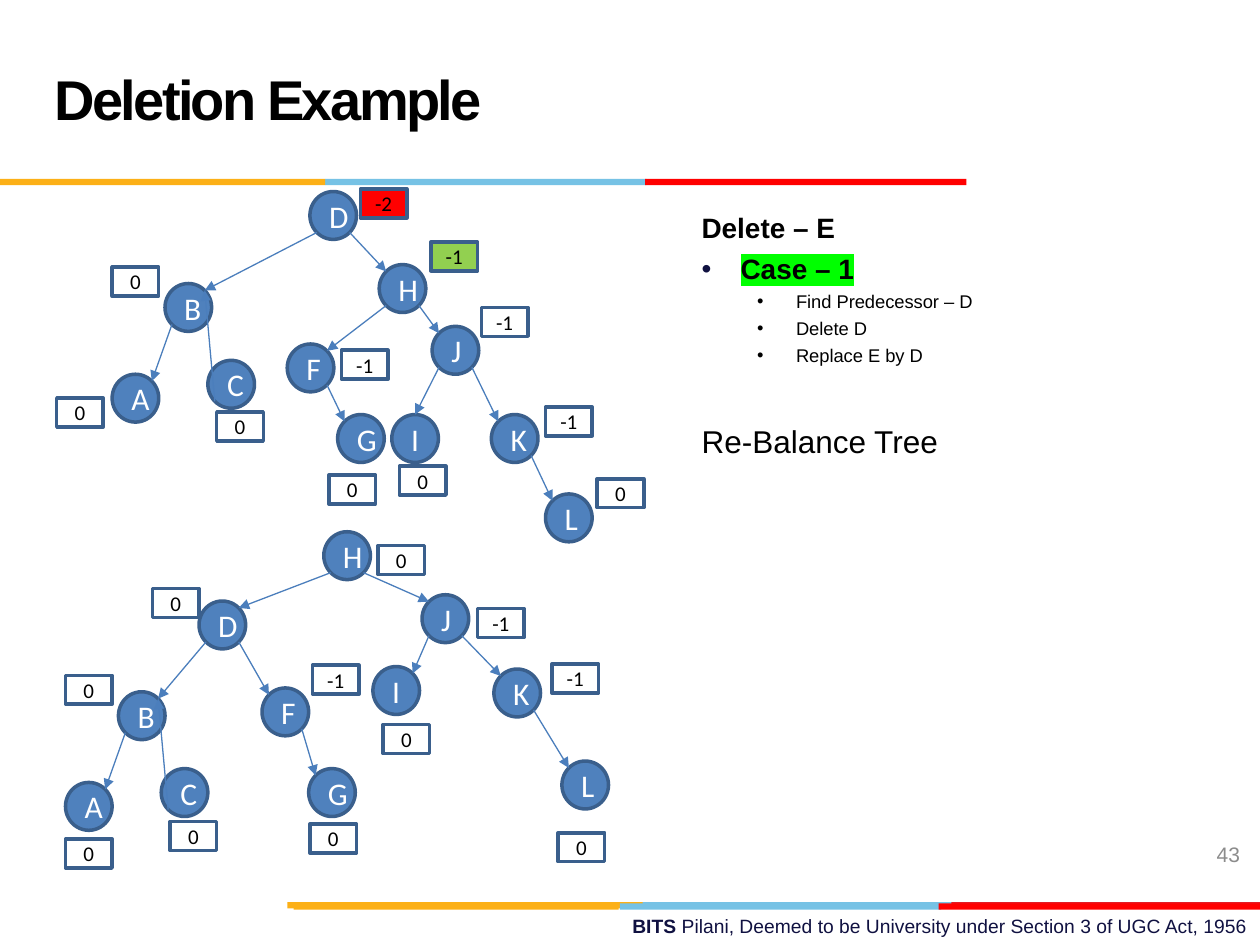
from lxml import etree
from pptx import Presentation
from pptx.dml.color import RGBColor
from pptx.enum import shapes, text
from pptx.oxml import ns
from pptx.util import Inches, Pt

BLACK = RGBColor(0x00, 0x00, 0x00)
WHITE = RGBColor(0xFF, 0xFF, 0xFF)
NAVY = RGBColor(0x10, 0x11, 0x41)
GRAY = RGBColor(0x8C, 0x8C, 0x8C)
RED = RGBColor(0xFF, 0x00, 0x00)
CRIMSON = RGBColor(0xE3, 0x1C, 0x24)
GOLD = RGBColor(0xFC, 0xB0, 0x17)
SKY = RGBColor(0x76, 0xC2, 0xE5)
GREEN = RGBColor(0x92, 0xD0, 0x50)
LIME = RGBColor(0x00, 0xFF, 0x00)
NODE_BLUE = RGBColor(0x4F, 0x81, 0xBD)
OUTLINE = RGBColor(0x3A, 0x5F, 0x8C)
EDGE_BLUE = RGBColor(0x4B, 0x7E, 0xBC)

# left, top, width, colour
STRIPES = [
    (5.06, 7.16, 2.55, SKY), (7.55, 7.16, 2.45, CRIMSON), (2.28, 7.16, 2.82, GOLD),
    (4.92, 7.17, 2.55, SKY), (2.33, 7.17, 2.58, GOLD), (7.45, 7.17, 2.55, RED),
    (2.58, 1.42, 2.55, SKY), (0, 1.42, 2.58, GOLD), (5.12, 1.42, 2.55, RED),
]
STRIPE_H = 0.05

# Each tree: nodes as letter -> (left, top), balance labels as (left, top, value),
# edges as "from-to" letter pairs; "^" marks an edge that ends at the top centre.
BEFORE = {
    "nodes": {"C": (1.65, 2.86), "D": (2.46, 1.52), "H": (3.01, 2.1), "B": (1.31, 2.25),
              "F": (2.28, 2.73), "J": (3.43, 2.59), "G": (2.68, 3.29), "A": (0.89, 2.97),
              "K": (3.9, 3.29), "I": (3.11, 3.29), "L": (4.33, 3.92)},
    "balances": [(2.86, 1.5, -2), (3.42, 1.92, -1), (0.89, 2.12, 0), (3.82, 2.44, -1),
                 (2.71, 2.78, -1), (4.33, 3.23, -1), (2.61, 3.77, 0), (1.72, 3.27, 0),
                 (0.45, 3.16, 0), (3.17, 3.7, 0), (4.74, 3.8, 0)],
    "edges": "DB DH CB HF HJ FG BA JK JI^ KL",
    "fills": {0: RED, 1: GREEN},
}
AFTER = {
    "nodes": {"C": (1.28, 6.1), "D": (1.58, 4.77), "H": (2.57, 4.22), "B": (0.94, 5.49),
              "F": (2.08, 5.46), "J": (3.35, 4.72), "G": (2.45, 6.1), "A": (0.52, 6.21),
              "K": (3.92, 5.31), "I": (2.96, 5.29), "L": (4.46, 6.04)},
    "balances": [(3, 4.33, 0), (1.21, 4.67, 0), (3.79, 4.83, -1), (0.52, 5.36, 0),
                 (2.48, 5.28, -1), (4.38, 5.27, -1), (2.46, 6.54, 0), (1.35, 6.52, 0),
                 (0.52, 6.66, 0), (3.04, 5.75, 0), (4.43, 6.61, 0)],
    "edges": "DB HD CB DF HJ FG BA JK JI KL",
    "fills": {},
}
NODE_W, NODE_H = 0.37, 0.38
LABEL_H = 0.23
CORNER = 0.055  # inset of the circle's diagonal points from its frame

# text, size, bold, space before, left margin, bullet colour, highlight
STEPS = [
    ("Delete – E", 16, True, 0, 0, None, None),
    ("Case – 1", 16, True, 4.5, 0.31, NAVY, LIME),
    ("Find Predecessor – D", 10.5, False, 2.8, 0.75, BLACK, None),
    ("Delete D", 10.5, False, 2.8, 0.75, BLACK, None),
    ("Replace E by D", 10.5, False, 2.8, 0.75, BLACK, None),
    ("Re-Balance Tree", 18, False, 32, 0, None, None),
]
HANGING = 0.31


def sub(parent, tag, **attributes):
    return etree.SubElement(parent, ns.qn(tag), attributes)


def add_span(para, words, size, color, bold=False, font="Arial"):
    span = para.add_run()
    span.text = words
    span.font.name, span.font.size, span.font.bold = font, Pt(size), bold
    span.font.color.rgb = color
    return span


def add_box(page, left, top, width, height, anchor=text.MSO_ANCHOR.TOP):
    box = page.shapes.add_textbox(Inches(left), Inches(top), Inches(width), Inches(height))
    box.text_frame.word_wrap = True
    box.text_frame.vertical_anchor = anchor
    return box.text_frame.paragraphs[0], box.text_frame


def add_figure(page, preset, left, top, width, height, fill, line=None):
    figure = page.shapes.add_shape(preset, Inches(left), Inches(top), Inches(width), Inches(height))
    figure.shadow.inherit = False
    figure.fill.solid()
    figure.fill.fore_color.rgb = fill
    if line is None:
        figure.line.fill.background()
    else:
        figure.line.color.rgb = line
        figure.line.width = Pt(2)
    return figure


def add_label(figure, words, size, color):
    para = figure.text_frame.paragraphs[0]
    para.alignment = text.PP_ALIGN.CENTER
    add_span(para, words, size, color, font="Calibri")


def add_edge(page, start, end, to_top):
    """Join the lower side of one node to the upper side of another."""
    near, far = CORNER, NODE_W - CORNER
    start_dx, end_dx = (near, far) if end[0] < start[0] else (far, near)
    end_dy = CORNER
    if to_top:
        end_dx, end_dy = NODE_W / 2, 0
    edge = page.shapes.add_connector(
        shapes.MSO_CONNECTOR.STRAIGHT,
        Inches(start[0] + start_dx), Inches(start[1] + NODE_H - CORNER),
        Inches(end[0] + end_dx), Inches(end[1] + end_dy))
    edge.line.color.rgb = EDGE_BLUE
    edge.line.width = Pt(0.75)
    sub(edge.line._get_or_add_ln(), "a:tailEnd", type="triangle")
    sub(edge._element.spPr, "a:effectLst")


def add_tree(page, tree):
    nodes = tree["nodes"]
    for letter, (left, top) in nodes.items():
        node = add_figure(page, shapes.MSO_SHAPE.FLOWCHART_CONNECTOR,
                          left, top, NODE_W, NODE_H, NODE_BLUE, OUTLINE)
        add_label(node, letter, 18, WHITE)
    for index, (left, top, value) in enumerate(tree["balances"]):
        label = add_figure(page, shapes.MSO_SHAPE.RECTANGLE, left, top, NODE_W, LABEL_H,
                           tree["fills"].get(index, WHITE), OUTLINE)
        add_label(label, str(value), 12, BLACK)
    for edge in tree["edges"].split():
        add_edge(page, nodes[edge[0]], nodes[edge[1]], edge.endswith("^"))


def add_steps(page):
    para, frame = add_box(page, 5.47, 1.62, 4.36, 4.79)
    for index, (words, size, bold, before, margin, bullet, highlight) in enumerate(STEPS):
        if index:
            para = frame.add_paragraph()
            para.space_before = Pt(before)
        if bullet is not None:
            props = para._p.get_or_add_pPr()
            props.set("marL", str(Inches(margin)))
            props.set("indent", str(-Inches(HANGING)))
            sub(sub(props, "a:buClr"), "a:srgbClr", val=str(bullet))
            sub(props, "a:buFont", typeface="Arial")
            sub(props, "a:buChar", char="•")
        span = add_span(para, words, size, BLACK, bold)
        if highlight is not None:
            mark = etree.Element(ns.qn("a:highlight"))
            sub(mark, "a:srgbClr", val=str(highlight))
            span.font._element.find(ns.qn("a:solidFill")).addnext(mark)


def add_title(page, words):
    title = page.shapes.title
    title.left, title.top, title.width, title.height = map(Inches, (0.33, 0.17, 7.17, 1.25))
    title.text_frame.vertical_anchor = text.MSO_ANCHOR.MIDDLE
    para = title.text_frame.paragraphs[0]
    para.alignment = text.PP_ALIGN.LEFT
    para.line_spacing = Pt(36)
    span = add_span(para, words, 32, BLACK, True)
    span.font._element.set("spc", "-150")


def main():
    deck = Presentation()
    deck.slide_width, deck.slide_height = Inches(10), Inches(7.5)
    page = deck.slides.add_slide(deck.slide_layouts[5])

    footer, _ = add_box(page, 3.58, 7.21, 6.42, 0.29)
    footer.alignment = text.PP_ALIGN.RIGHT
    add_span(footer, "BITS ", 11, NAVY, True)
    add_span(footer, "Pilani, Deemed to be University under Section 3 of UGC Act, 1956", 11, NAVY)
    for left, top, width, color in STRIPES:
        add_figure(page, shapes.MSO_SHAPE.RECTANGLE, left, top, width, STRIPE_H, color)

    add_title(page, "Deletion Example")
    number, _ = add_box(page, 7.61, 6.58, 2.33, 0.4, text.MSO_ANCHOR.MIDDLE)
    number.alignment = text.PP_ALIGN.RIGHT
    add_span(number, "43", 12, GRAY)
    add_steps(page)
    for tree in (BEFORE, AFTER):
        add_tree(page, tree)
    deck.save("out.pptx")


if __name__ == "__main__":
    main()
